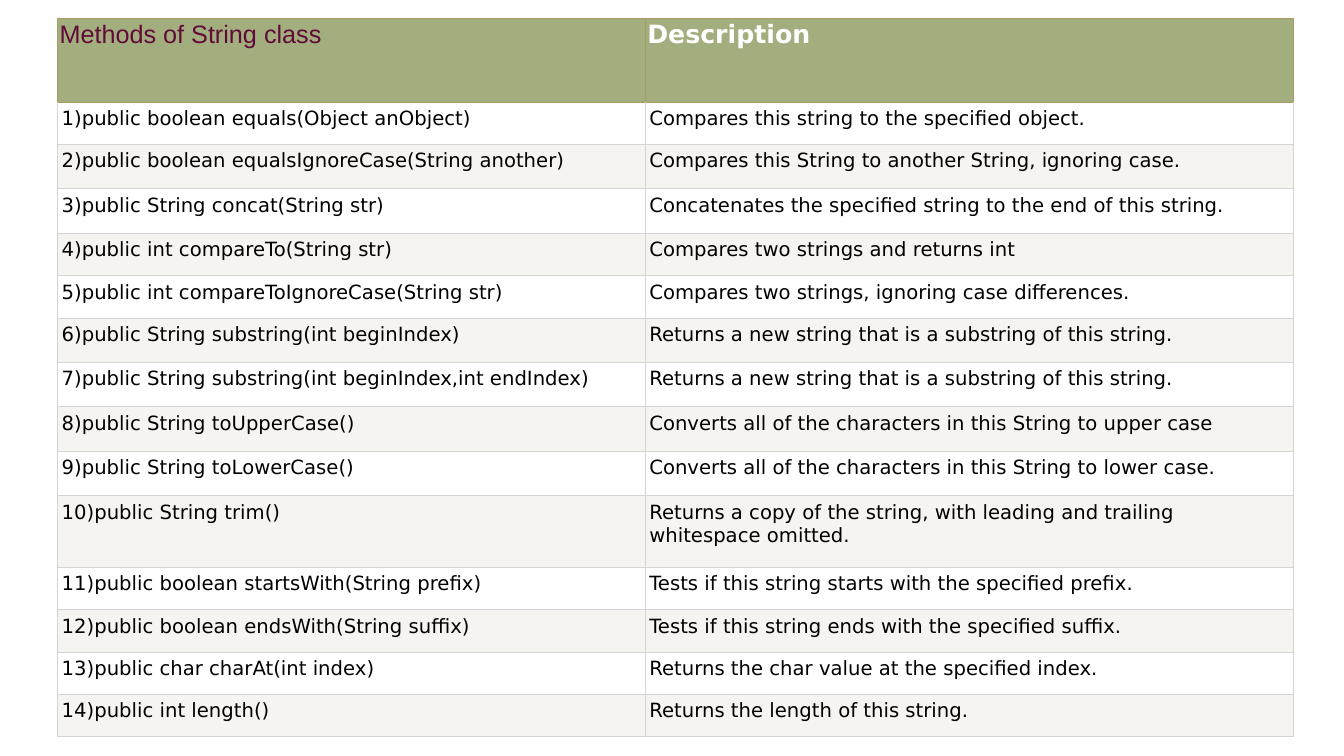
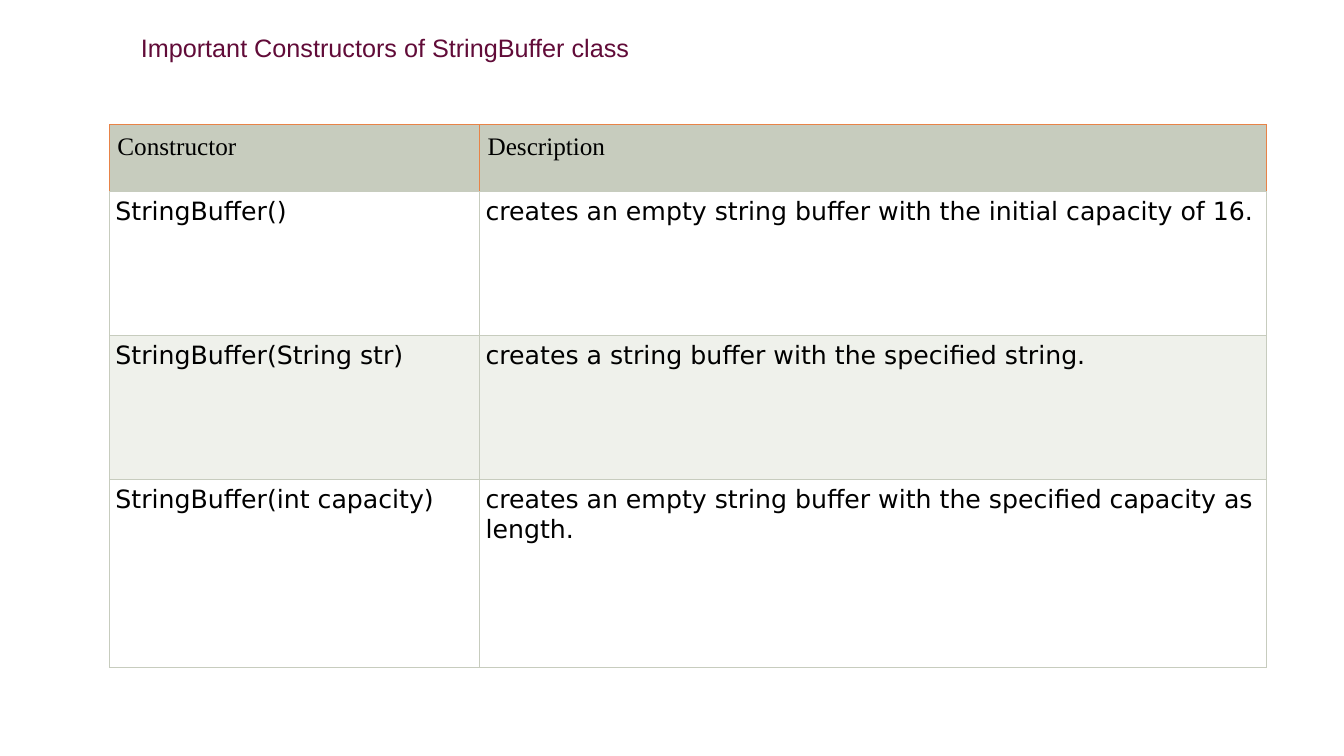
import pptx
import pptx.util
import pptx.dml.color
import pptx.enum.text
import pptx.oxml
import pptx.oxml.ns
from lxml import etree

COLORS = {
    "plum": "610B38", "white": "FFFFFF", "black": "000000",
    "olive": "A3AE7E", "olive_line": "AB9A61", "cream": "F6F4F0", "gray_line": "D4D4D4",
    "sage": "C7CCBE", "mist": "EFF1EB", "orange": "E88347",
}
WIDTH, HEIGHT = pptx.util.Inches(13.33), pptx.util.Inches(7.5)
COLUMN, ROW = WIDTH / 100, HEIGHT / 100
BODY_FONT = "DejaVu Sans"

METHODS = [
    ("Methods of String class", "Description"),
    ("1)public boolean equals(Object anObject)", "Compares this string to the specified object."),
    ("2)public boolean equalsIgnoreCase(String another)",
     "Compares this String to another String, ignoring case."),
    ("3)public String concat(String str)",
     "Concatenates the specified string to the end of this string."),
    ("4)public int compareTo(String str)", "Compares two strings and returns int"),
    ("5)public int compareToIgnoreCase(String str)",
     "Compares two strings, ignoring case differences."),
    ("6)public String substring(int beginIndex)",
     "Returns a new string that is a substring of this string."),
    ("7)public String substring(int beginIndex,int endIndex)",
     "Returns a new string that is a substring of this string."),
    ("8)public String toUpperCase()",
     "Converts all of the characters in this String to upper case"),
    ("9)public String toLowerCase()",
     "Converts all of the characters in this String to lower case."),
    ("10)public String trim()",
     "Returns a copy of the string, with leading and trailing whitespace omitted."),
    ("11)public boolean startsWith(String prefix)",
     "Tests if this string starts with the specified prefix."),
    ("12)public boolean endsWith(String suffix)",
     "Tests if this string ends with the specified suffix."),
    ("13)public char charAt(int index)", "Returns the char value at the specified index."),
    ("14)public int length()", "Returns the length of this string."),
]
CONSTRUCTORS = [
    ("Constructor", "Description"),
    ("StringBuffer()", "creates an empty string buffer with the initial capacity of 16."),
    ("StringBuffer(String str)", "creates a string buffer with the specified string."),
    ("StringBuffer(int capacity)",
     "creates an empty string buffer with the specified capacity as length."),
]


def rgb(name):
    return pptx.dml.color.RGBColor.from_string(COLORS[name])


def grid_box(left, top, width, height):
    return [round(length) for length in
            (left * COLUMN, top * ROW, width * COLUMN, height * ROW)]


def format_paragraph(paragraph, size, font=BODY_FONT, color="black", bold=False):
    paragraph.font.size = pptx.util.Pt(size)
    paragraph.font.name = font
    paragraph.font.bold = bold
    paragraph.font.color.rgb = rgb(color)


def set_borders(cell, colors, width):
    properties = cell._tc.get_or_add_tcPr()
    for side, color in zip("LRTB", colors):
        line = etree.SubElement(properties, pptx.oxml.ns.qn(f"a:ln{side}"),
                                w=str(pptx.util.Pt(width)))
        fill = etree.SubElement(line, pptx.oxml.ns.qn("a:solidFill"))
        etree.SubElement(fill, pptx.oxml.ns.qn("a:srgbClr"), val=COLORS[color])


def fill_cell(cell, text, fill, margins, borders, line_width):
    cell.text = text
    side, end = (pptx.util.Inches(margin) for margin in margins)
    cell.margin_left = cell.margin_right = side
    cell.margin_top = cell.margin_bottom = end
    set_borders(cell, borders, line_width)
    cell.fill.solid()
    cell.fill.fore_color.rgb = rgb(fill)
    return cell.text_frame.paragraphs[0]


def add_banded_table(slide, box, rows, column_weights, row_weights, style):
    left, top, width, height = box
    table = slide.shapes.add_table(len(rows), len(rows[0]), *box).table
    table.horz_banding = False
    for column, weight in zip(table.columns, column_weights):
        column.width = round(width * weight / sum(column_weights))
    for row, weight in zip(table.rows, row_weights):
        row.height = round(height * weight / sum(row_weights))
    line, header_borders = style["line"], style["header_borders"]
    for row_index, texts in enumerate(rows):
        for column_index, text in enumerate(texts):
            if row_index == 0:
                fill, margins = style["header_fill"], style["header_margins"]
                borders, font = header_borders, style["header_fonts"][column_index]
            else:
                fill = style["band"] if row_index % 2 == 0 else "white"
                margins, font = style["margins"], style["font"]
                above = header_borders[3] if row_index == 1 else line
                borders = (line, line, above, line)
            paragraph = fill_cell(table.cell(row_index, column_index), text, fill,
                                  margins, borders, style["line_width"])
            format_paragraph(paragraph, **font)
            paragraph.space_after = pptx.util.Pt(style["space_after"])


def add_title(slide, box, text):
    title = slide.shapes.title
    title.left, title.top, title.width, title.height = box
    title.fill.solid()
    title.fill.fore_color.rgb = rgb("white")
    title.text = text
    frame = title.text_frame
    frame.vertical_anchor = pptx.enum.text.MSO_ANCHOR.MIDDLE
    frame.margin_top = 0
    frame.margin_bottom = round(box[3] * 0.6)
    paragraph = frame.paragraphs[0]
    paragraph.alignment = pptx.enum.text.PP_ALIGN.LEFT
    format_paragraph(paragraph, 18, "Arial", "plum")


def add_methods_slide(presentation):
    slide = presentation.slides.add_slide(presentation.slide_layouts[6])
    style = {
        "header_fill": "olive", "header_margins": (0.02, 0.02),
        "header_borders": ("olive_line",) * 4,
        "header_fonts": [{"size": 18, "font": "Arial", "color": "plum"},
                         {"size": 18, "color": "white", "bold": True}],
        "band": "cream", "margins": (0.04, 0.05), "font": {"size": 14},
        "line": "gray_line", "line_width": 0.75, "space_after": 10,
    }
    row_weights = [0.83, 0.42, 0.44, 0.44, 0.42, 0.42] + [0.44] * 4 + [0.71] + [0.42] * 4
    add_banded_table(slide, grid_box(4.29, 2.43, 91.95, 95.07), METHODS,
                     [5.83, 6.43], row_weights, style)


def add_constructors_slide(presentation):
    slide = presentation.slides.add_slide(presentation.slide_layouts[5])
    add_title(slide, grid_box(9.73, 4.93, 100, 6.67),
              "Important Constructors of StringBuffer class")
    style = {
        "header_fill": "sage", "header_margins": (0.08, 0.08),
        "header_borders": ("orange", "orange", "orange", "sage"),
        "header_fonts": [{"size": 18, "font": "Times New Roman"}] * 2,
        "band": "mist", "margins": (0.06, 0.06), "font": {"size": 18},
        "line": "sage", "line_width": 0.5, "space_after": 0,
    }
    add_banded_table(slide, grid_box(8.14, 16.48, 86.08, 71.76), CONSTRUCTORS,
                     [3.67, 7.8], [0.66, 1.43, 1.43, 1.86], style)


def main():
    presentation = pptx.Presentation()
    presentation.slide_width, presentation.slide_height = WIDTH, HEIGHT
    add_methods_slide(presentation)
    add_constructors_slide(presentation)
    presentation.save("out.pptx")


if __name__ == "__main__":
    main()
